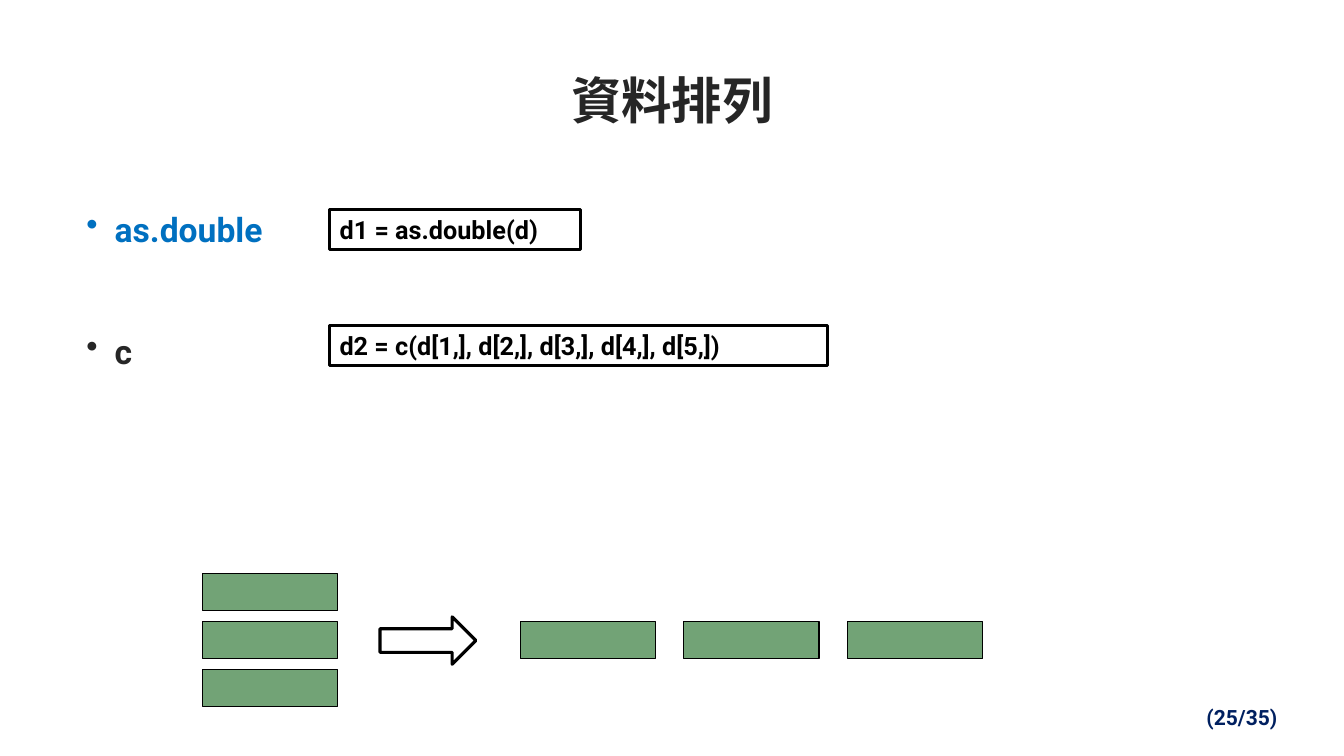
from lxml import etree
from pptx import Presentation
from pptx import util as u
from pptx.dml.color import RGBColor
from pptx.enum import shapes, text
from pptx.oxml.ns import qn

COLORS = {
    "ink": "262626",
    "black": "000000",
    "white": "FFFFFF",
    "blue": "0070C0",
    "navy": "002060",
    "green": "72A376",
}
W, H = u.Inches(13.33), u.Inches(7.5)
LATIN, CJK = "Roboto", "Noto Sans CJK SC"


def rgb(name):
    return RGBColor.from_string(COLORS[name])


def share(x, y, w, h):
    return [int(size * pct / 100) for size, pct in zip((W, H, W, H), (x, y, w, h))]


def write(p, words, size, color, face=LATIN):
    p.text = words
    f = p.font
    f.size, f.bold, f.name = u.Pt(size), True, face
    f.color.rgb = rgb(color)
    if face == CJK:
        latin = p._p.pPr.find(qn("a:defRPr")).find(qn("a:latin"))
        ea = etree.Element(qn("a:ea"), typeface=face)
        latin.addnext(ea)


def add_text(s, box, words, size, color, face=LATIN, align=text.PP_ALIGN.LEFT,
             anchor=text.MSO_ANCHOR.TOP, wrap=True):
    tf = s.shapes.add_textbox(*share(*box)).text_frame
    tf.word_wrap = wrap
    tf.vertical_anchor = anchor
    p = tf.paragraphs[0]
    p.alignment = align
    write(p, words, size, color, face)


def add_bullets(s, box, items, gap):
    tf = s.shapes.add_textbox(*share(*box)).text_frame
    tf.word_wrap = True
    for i, (words, color) in enumerate(items):
        p = tf.add_paragraph() if i else tf.paragraphs[0]
        p.line_spacing = 1.5
        p.space_before = u.Pt(gap if i else 0)
        write(p, words, 24, color)
        pPr = p._p.pPr
        pPr.set("marL", str(u.Inches(0.28)))
        pPr.set("indent", str(-u.Inches(0.28)))
        bullet = etree.Element(qn("a:buChar"), char="•")
        pPr.find(qn("a:defRPr")).addprevious(bullet)


def add_block(s, box, fill, line, kind=shapes.MSO_SHAPE.RECTANGLE):
    sp = s.shapes.add_shape(kind, *share(*box))
    sp.shadow.inherit = False
    if fill:
        sp.fill.solid()
        sp.fill.fore_color.rgb = rgb(fill)
    else:
        sp.fill.background()
    sp.line.color.rgb = rgb("black")
    sp.line.width = u.Pt(line)
    return sp


def add_code(s, box, words):
    tf = add_block(s, box, None, 2.25).text_frame
    tf.word_wrap = True
    tf.vertical_anchor = text.MSO_ANCHOR.TOP
    p = tf.paragraphs[0]
    p.alignment = text.PP_ALIGN.LEFT
    write(p, words, 18, "black")


def main():
    prs = Presentation()
    prs.slide_width, prs.slide_height = W, H
    s = prs.slides.add_slide(prs.slide_layouts[6])

    add_text(s, (89.03, 92.53, 8.48, 4.67), "(25/35)", 15, "navy", wrap=False)
    add_text(s, (5.7, 4.8, 88.58, 16.67), "資料排列", 36, "ink", CJK,
             text.PP_ALIGN.CENTER, text.MSO_ANCHOR.MIDDLE)
    add_bullets(s, (5.7, 24.27, 88.58, 64.67),
                [("as.double", "blue"), ("c", "ink")], 44)

    block_w, block_h = 10.05, 4.93
    top, row_step = 75.87, 6.33
    for i in range(3):
        for x, y in ((38.7 + 12.19 * i, top + row_step),
                     (15.08, top + row_step * i)):
            add_block(s, (x, y, block_w, block_h), "green", 0.75)
    add_block(s, (28.28, 81.6, 7.13, 6.27), "white", 2.25,
              shapes.MSO_SHAPE.RIGHT_ARROW)

    add_code(s, (24.53, 27.73, 18.68, 5.33), "d1 = as.double(d)")
    add_code(s, (24.53, 43.07, 37.05, 5.33),
             "d2 = c(d[1,], d[2,], d[3,], d[4,], d[5,])")
    prs.save("out.pptx")


if __name__ == "__main__":
    main()
